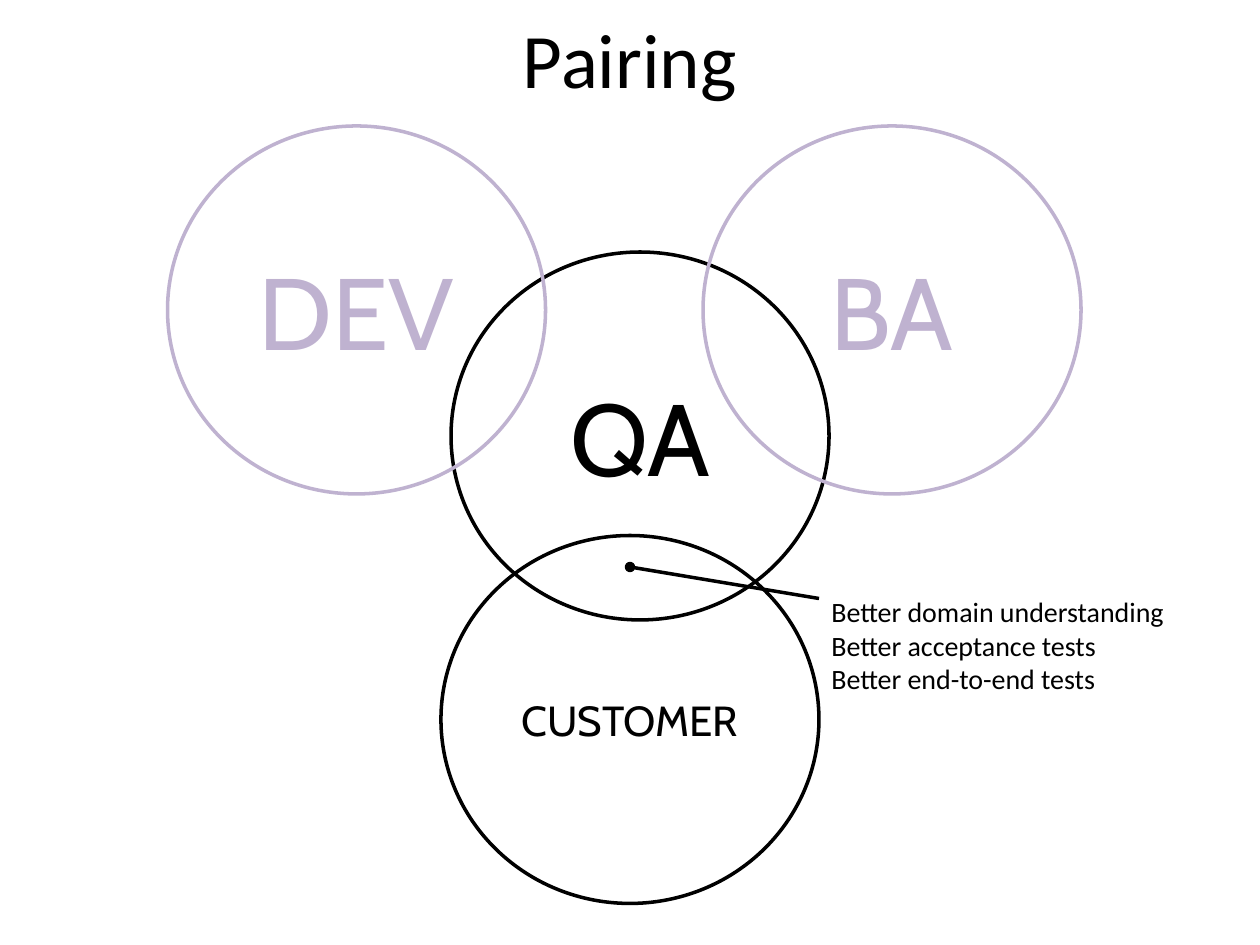
from dataclasses import dataclass

from lxml.etree import SubElement
from pptx import Presentation
from pptx.dml.color import RGBColor
from pptx.enum.shapes import MSO_CONNECTOR as Connector
from pptx.enum.shapes import MSO_SHAPE as Shape
from pptx.enum.text import MSO_ANCHOR as Anchor
from pptx.enum.text import MSO_AUTO_SIZE as AutoSize
from pptx.enum.text import PP_ALIGN as Align
from pptx.oxml.ns import qn
from pptx.slide import Slide
from pptx.util import Inches, Pt


@dataclass(frozen=True)
class Theme:
    ink: RGBColor = RGBColor(0x00, 0x00, 0x00)
    faded: RGBColor = RGBColor(0xBF, 0xB2, 0xD0)
    text_font: str = "Calibri"
    role_font: str = "Cabin"
    title_size: Pt = Pt(44)
    role_size: Pt = Pt(58)
    long_role_size: Pt = Pt(24)
    benefit_size: Pt = Pt(16)
    line_width: Pt = Pt(2)


@dataclass(frozen=True)
class Role:
    name: str
    left: float
    top: float
    color: RGBColor
    size: Pt


THEME = Theme()
CIRCLE_WIDTH, CIRCLE_HEIGHT = Inches(3), Inches(2.92)
ROLES = [
    Role("QA", 3.58, 2, THEME.ink, THEME.role_size),
    Role("DEV", 1.33, 1, THEME.faded, THEME.role_size),
    Role("BA", 5.58, 1, THEME.faded, THEME.role_size),
    Role("CUSTOMER", 3.5, 4.25, THEME.ink, THEME.long_role_size),
]
BENEFITS = [
    "Better domain understanding",
    "Better acceptance tests",
    "Better end-to-end tests",
]


def write_lines(frame, lines: list[str], font: str, size: Pt, color: RGBColor, align: Align) -> None:
    frame.text = "\n".join(lines)
    for paragraph in frame.paragraphs:
        paragraph.alignment = align
        paragraph.font.name = font
        paragraph.font.size = size
        paragraph.font.color.rgb = color


def add_title(slide: Slide, text: str) -> None:
    box = slide.shapes.add_textbox(Inches(0.4), Inches(0), Inches(9.2), Inches(0.92))
    frame = box.text_frame
    frame.word_wrap = True
    frame.vertical_anchor = Anchor.MIDDLE
    write_lines(frame, [text], THEME.text_font, THEME.title_size, THEME.ink, Align.CENTER)


def add_role(slide: Slide, role: Role) -> None:
    circle = slide.shapes.add_shape(
        Shape.OVAL, Inches(role.left), Inches(role.top), CIRCLE_WIDTH, CIRCLE_HEIGHT
    )
    circle.shadow.inherit = False
    circle.fill.background()
    circle.line.color.rgb = role.color
    circle.line.width = THEME.line_width
    frame = circle.text_frame
    frame.vertical_anchor = Anchor.MIDDLE
    write_lines(frame, [role.name], THEME.role_font, role.size, role.color, Align.CENTER)


def add_benefits(slide: Slide, lines: list[str]) -> None:
    box = slide.shapes.add_textbox(Inches(6.5), Inches(4.67), Inches(2.85), Inches(0.91))
    frame = box.text_frame
    frame.word_wrap = False
    frame.auto_size = AutoSize.SHAPE_TO_FIT_TEXT
    write_lines(frame, lines, THEME.text_font, THEME.benefit_size, THEME.ink, Align.LEFT)


def add_pointer(slide: Slide) -> None:
    pointer = slide.shapes.add_connector(
        Connector.STRAIGHT, Inches(6.5), Inches(4.75), Inches(5), Inches(4.5)
    )
    pointer.line.color.rgb = THEME.ink
    pointer.line.width = THEME.line_width
    SubElement(pointer.line._get_or_add_ln(), qn("a:tailEnd"), type="oval")
    SubElement(pointer._element.spPr, qn("a:effectLst"))


def main() -> None:
    presentation = Presentation()
    presentation.slide_width = Inches(10)
    presentation.slide_height = Inches(7.5)
    slide = presentation.slides.add_slide(presentation.slide_layouts[6])
    add_title(slide, "Pairing")
    for role in ROLES:
        add_role(slide, role)
    add_benefits(slide, BENEFITS)
    add_pointer(slide)
    presentation.save("out.pptx")


if __name__ == "__main__":
    main()
